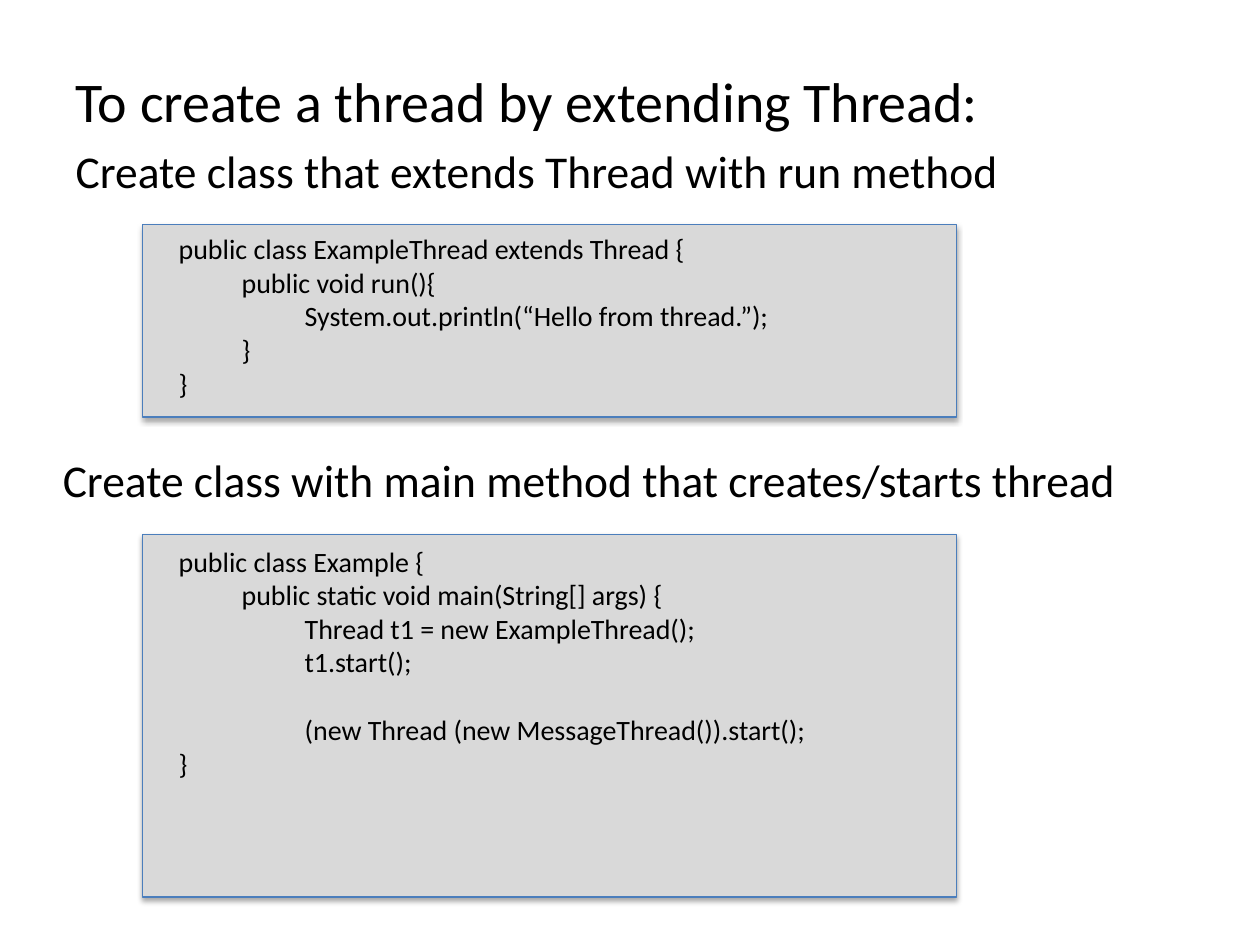
from lxml.etree import SubElement
from pptx import Presentation
from pptx.dml.color import RGBColor
from pptx.enum.shapes import MSO_SHAPE
from pptx.enum.text import MSO_ANCHOR, MSO_AUTO_SIZE
from pptx.oxml.ns import qn
from pptx.util import Inches, Pt

COLORS = {"text": "000000", "panel": "D9D9D9", "edge": "4B7EBC", "shade": "000000"}
FONT = {"name": "Calibri", "bold": False}
FRAME = {"word_wrap": True, "auto_size": MSO_AUTO_SIZE.NONE,
         "vertical_anchor": MSO_ANCHOR.TOP}
TAB = 0.5


def write(frame, lines):
    """Fill a frame with (text, size, indent level, space before) lines."""
    for key, value in FRAME.items():
        setattr(frame, key, value)
    for i, (text, size, level, gap) in enumerate(lines):
        para = frame.paragraphs[0] if i == 0 else frame.add_paragraph()
        props = para._p.get_or_add_pPr()
        props.set("marL", str(Inches(TAB * level)))
        props.set("indent", "0")
        if gap is not None:
            para.space_before = Pt(gap)
        SubElement(props, qn("a:buNone"))
        run = para.add_run()
        run.text = text
        for key, value in FONT.items():
            setattr(run.font, key, value)
        run.font.size = Pt(size)
        run.font.color.rgb = RGBColor.from_string(COLORS["text"])


def shade(shape):
    """Give the shape a soft shadow straight below it."""
    shape.shadow.inherit = False
    effects = shape._element.spPr.find(qn("a:effectLst"))
    outer = SubElement(effects, qn("a:outerShdw"), blurRad=str(Pt(3.1)),
                       dist=str(Pt(1.8)), dir="5400000", rotWithShape="0")
    color = SubElement(outer, qn("a:srgbClr"), val=COLORS["shade"])
    SubElement(color, qn("a:alpha"), val="35000")


deck = Presentation()
deck.slide_width, deck.slide_height = Inches(10), Inches(7.5)
slide = deck.slides.add_slide(deck.slide_layouts[1])
shapes = slide.shapes

# Heading and first step
title = shapes.title._element
title.getparent().remove(title)
body = slide.placeholders[1]
place = {"left": 0.5, "top": 0.48, "width": 9, "height": 5.51}
for key, value in place.items():
    setattr(body, key, Inches(value))
write(body.text_frame, [
    ("To create a thread by extending Thread:", 32, 0, None),
    ("Create class that extends Thread with run method", 26, 0, None),
])

# Code panels: panel top and height, text top and height, (line, level, gap)
panels = [
    (1.78, 1.53, 1.79, 1.75, [
        ("public class ExampleThread extends Thread {", 0, 0),
        ("public void run(){", 1, 0),
        ("System.out.println(“Hello from thread.”);", 2, 0),
        ("}", 1, 0),
        ("}", 0, 0),
    ]),
    (4.24, 2.88, 4.27, 2.29, [
        ("public class Example {", 0, 0),
        ("public static void main(String[] args) {", 1, 0),
        ("Thread t1 = new ExampleThread();", 2, 0),
        ("t1.start();", 2, 0),
        ("(new Thread (new MessageThread()).start();", 2, 19.5),
        ("}", 0, 0),
    ]),
]
for top, high, text_top, text_high, code in panels:
    panel = shapes.add_shape(MSO_SHAPE.RECTANGLE, Inches(1.13), Inches(top),
                             Inches(6.46), Inches(high))
    panel.fill.solid()
    panel.fill.fore_color.rgb = RGBColor.from_string(COLORS["panel"])
    panel.line.color.rgb = RGBColor.from_string(COLORS["edge"])
    panel.line.width = Pt(0.75)
    shade(panel)
    box = shapes.add_textbox(Inches(1.32), Inches(text_top),
                             Inches(6.46), Inches(text_high))
    write(box.text_frame, [(text, 16, level, gap) for text, level, gap in code])

# Second step
step = shapes.add_textbox(Inches(0.4), Inches(3.54), Inches(9.1), Inches(0.84))
write(step.text_frame, [
    ("Create class with main method that creates/starts thread", 26, 0, 0),
])

deck.save("out.pptx")
